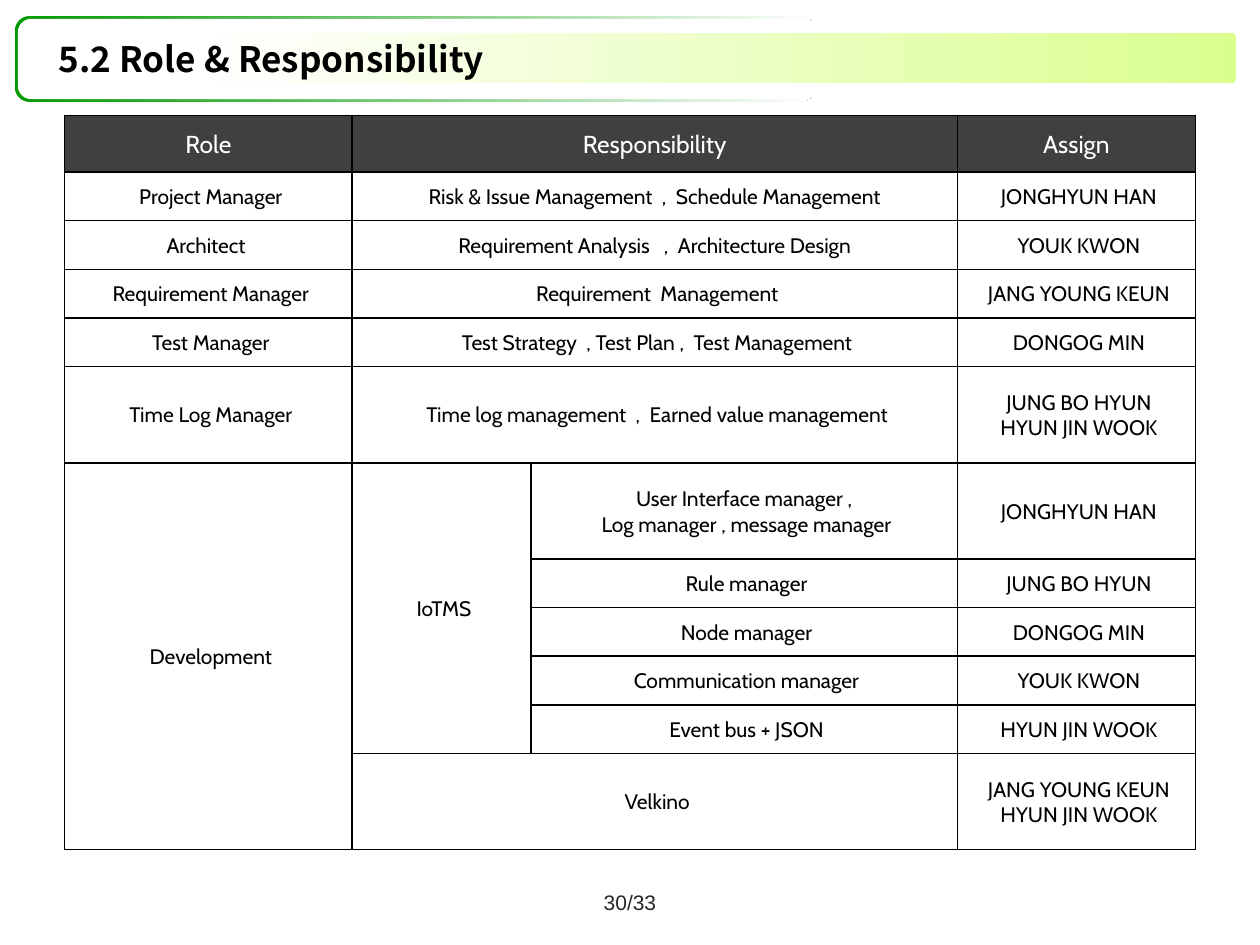
from dataclasses import dataclass

from lxml import etree
from pptx import Presentation
from pptx.dml.color import RGBColor
from pptx.enum import shapes, text
from pptx.oxml import ns
from pptx.util import Cm, Pt

COLORS = {
    "black": "000000",
    "white": "FFFFFF",
    "header": "404040",
    "green": "009900",
    "lime": "DAFF8F",
    "number": "262626",
}


@dataclass
class Band:
    left: float
    top: float
    width: float
    height: float
    corner: float
    start: str
    end: str


@dataclass
class Entry:
    row: int
    column: int
    content: str
    rows: int = 1
    columns: int = 1


BANDS = [
    Band(0.3, 0.33, 16.13, 1.72, 0.167, "green", "white"),
    Band(0.36, 0.38, 16.13, 1.62, 0.167, "white", "white"),
    Band(4.01, 0.66, 20.92, 1.02, 0.143, "white", "lime"),
]

COLUMN_WIDTHS = [5.8, 3.6, 8.6, 4.8]
HEADER_HEIGHT, SINGLE_HEIGHT, DOUBLE_HEIGHT = 1.14, 0.98, 1.94
DOUBLE_ROWS = {5, 6, 11}
ROW_COUNT = 12

# Rows whose responsibility spans both middle columns
WIDE_ROWS = [
    ("Role", "Responsibility"),
    ("Project Manager", "Risk & Issue Management  ,  Schedule Management "),
    ("Architect  ", "Requirement Analysis   ,  Architecture Design "),
    ("Requirement Manager", "Requirement  Management"),
    ("Test Manager", "Test Strategy  , Test Plan ,  Test Management"),
    ("Time Log Manager", "Time log management  ,  Earned value management"),
]
COMPONENTS = [
    "User Interface manager , \nLog manager , message manager",
    "Rule manager",
    "Node manager",
    "Communication manager",
    "Event bus + JSON",
]
ASSIGNEES = [
    "Assign", "JONGHYUN HAN", "YOUK KWON", "JANG YOUNG KEUN", "DONGOG MIN",
    "JUNG BO HYUN\nHYUN JIN WOOK", "JONGHYUN HAN", "JUNG BO HYUN",
    "DONGOG MIN", "YOUK KWON", "HYUN JIN WOOK",
    "JANG YOUNG KEUN\nHYUN JIN WOOK",
]


def color(name: str) -> RGBColor:
    return RGBColor.from_string(COLORS[name])


def write(frame, content: str, font: str, size: float, shade: str,
          align=text.PP_ALIGN.CENTER, bold: bool = False) -> None:
    frame.text = content
    for para in frame.paragraphs:
        para.alignment = align
        for span in para.runs:
            span.font.name = font
            span.font.size = Pt(size)
            span.font.bold = bold
            span.font.color.rgb = color(shade)


def draw_band(page, band: Band) -> None:
    shape = page.shapes.add_shape(
        shapes.MSO_SHAPE.ROUNDED_RECTANGLE,
        Cm(band.left), Cm(band.top), Cm(band.width), Cm(band.height))
    shape.adjustments[0] = band.corner
    shape.shadow.inherit = False
    shape.line.fill.background()
    if band.start == band.end:
        shape.fill.solid()
        shape.fill.fore_color.rgb = color(band.start)
        return
    shape.fill.gradient()
    shape.fill.gradient_angle = 0
    for stop, name in zip(shape.fill.gradient_stops, (band.start, band.end)):
        stop.color.rgb = color(name)


def style_cell(cell, is_header: bool) -> None:
    # Borders must precede the fill in the cell properties
    properties = cell._tc.get_or_add_tcPr()
    for side in ("a:lnL", "a:lnR", "a:lnT", "a:lnB"):
        line = etree.SubElement(properties, ns.qn(side), w=str(Pt(1)))
        fill = etree.SubElement(line, ns.qn("a:solidFill"))
        etree.SubElement(fill, ns.qn("a:srgbClr"), val=COLORS["black"])
    cell.fill.solid()
    cell.fill.fore_color.rgb = color("header" if is_header else "white")
    cell.vertical_anchor = text.MSO_ANCHOR.MIDDLE
    cell.margin_left = Cm(0.03 if is_header else 0.2)
    cell.margin_right = Cm(0.03 if is_header else 0.1)
    cell.margin_top, cell.margin_bottom = Cm(0.03), 0


def table_entries() -> list[Entry]:
    entries = [Entry(row, 3, name) for row, name in enumerate(ASSIGNEES)]
    for row, (role, duty) in enumerate(WIDE_ROWS):
        entries += [Entry(row, 0, role), Entry(row, 1, duty, columns=2)]
    first = len(WIDE_ROWS)
    entries += [
        Entry(first, 0, "Development", rows=ROW_COUNT - first),
        Entry(first, 1, "IoTMS", rows=len(COMPONENTS)),
        Entry(ROW_COUNT - 1, 1, "Velkino", columns=2),
    ]
    entries += [Entry(row, 2, name) for row, name in enumerate(COMPONENTS, first)]
    return entries


def draw_table(page) -> None:
    heights = [HEADER_HEIGHT] + [
        DOUBLE_HEIGHT if row in DOUBLE_ROWS else SINGLE_HEIGHT
        for row in range(1, ROW_COUNT)]
    table = page.shapes.add_table(
        ROW_COUNT, len(COLUMN_WIDTHS), Cm(1.3), Cm(2.33),
        Cm(sum(COLUMN_WIDTHS)), Cm(sum(heights))).table
    for column, width in zip(table.columns, COLUMN_WIDTHS):
        column.width = Cm(width)
    for index, height in enumerate(heights):
        table.rows[index].height = Cm(height)
        for column in range(len(COLUMN_WIDTHS)):
            style_cell(table.cell(index, column), index == 0)
    for entry in table_entries():
        cell = table.cell(entry.row, entry.column)
        if entry.rows > 1 or entry.columns > 1:
            cell.merge(table.cell(entry.row + entry.rows - 1,
                                  entry.column + entry.columns - 1))
        size, shade = (14, "white") if entry.row == 0 else (12, "black")
        write(cell.text_frame, entry.content, "Cabin", size, shade)


def main() -> None:
    deck = Presentation()
    deck.slide_width, deck.slide_height = Cm(25.4), Cm(19.05)
    page = deck.slides.add_slide(deck.slide_layouts[5])

    # Heading bands, with the title in front of them
    for band in BANDS:
        draw_band(page, band)
    title = page.shapes.title
    page.shapes.element.append(title.element)
    title.left, title.top = Cm(0.93), Cm(0.64)
    title.width, title.height = Cm(21.08), Cm(1.09)
    title.text_frame.vertical_anchor = text.MSO_ANCHOR.MIDDLE
    write(title.text_frame, "5.2 Role & Responsibility", "Noto Sans CJK KR",
          20, "black", text.PP_ALIGN.LEFT, bold=True)
    title.text_frame.auto_size = text.MSO_AUTO_SIZE.NONE

    # Roles and assignments
    draw_table(page)

    # Page number
    box = page.shapes.add_textbox(Cm(9.74), Cm(17.68), Cm(5.92), Cm(1.02))
    box.text_frame.word_wrap = True
    box.text_frame.vertical_anchor = text.MSO_ANCHOR.MIDDLE
    write(box.text_frame, "30/33", "Arial", 12, "number")

    deck.save("out.pptx")


if __name__ == "__main__":
    main()
